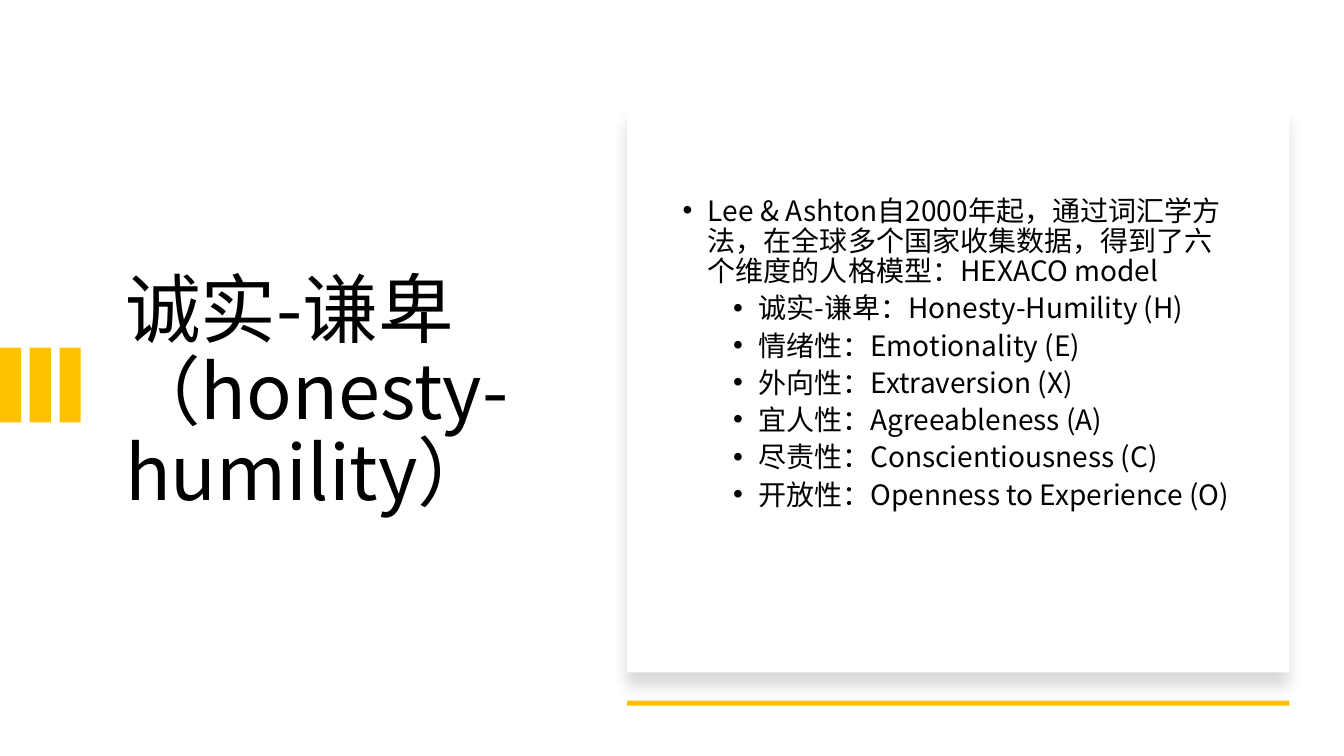
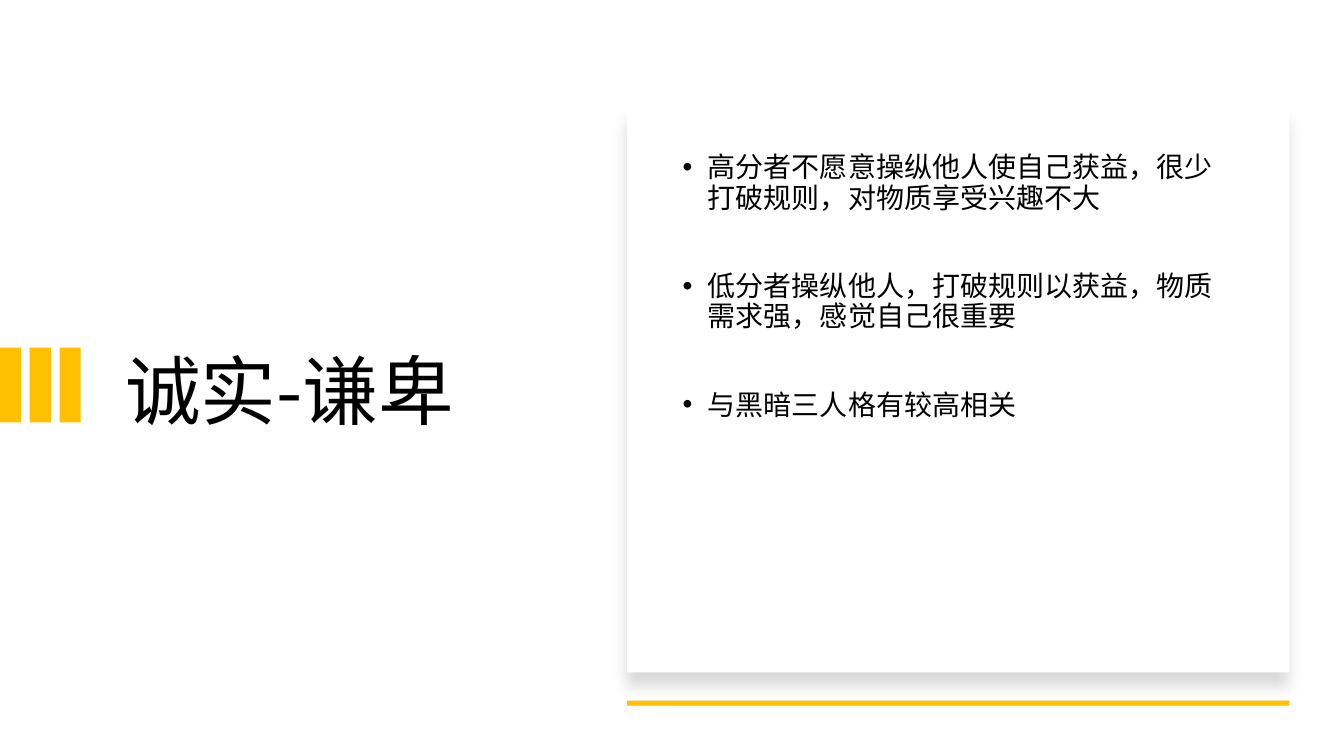
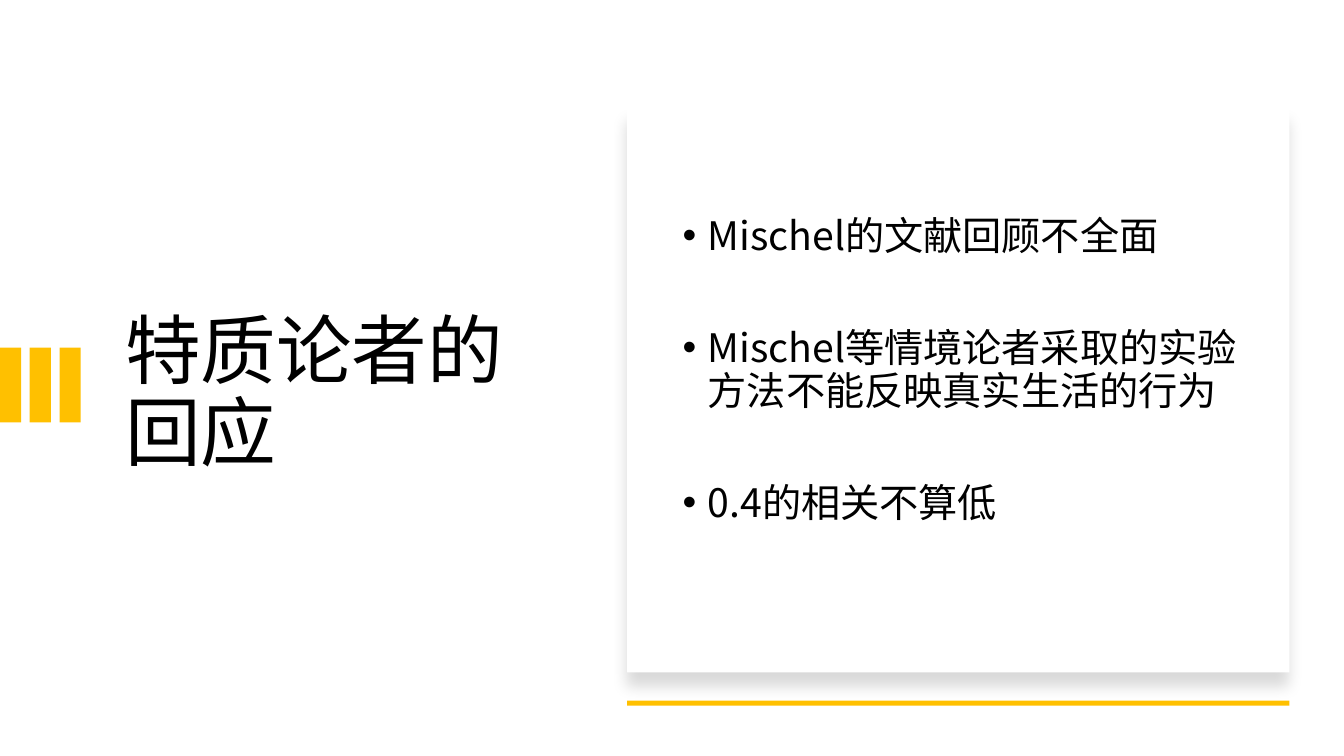
import dataclasses
import lxml.etree
import pptx
import pptx.dml.color
import pptx.enum.shapes
import pptx.enum.text
import pptx.oxml
import pptx.oxml.ns
import pptx.util

Inches = pptx.util.Inches
Pt = pptx.util.Pt
RGB = pptx.dml.color.RGBColor.from_string
qn = pptx.oxml.ns.qn


@dataclasses.dataclass(frozen=True)
class Theme:
    font: str = "Noto Sans CJK SC"
    ink: str = "000000"
    paper: str = "FFFFFF"
    accent: str = "FFC000"
    title_size: int = 54
    text_size: int = 20
    large_size: int = 28
    line_pitch: float = 1.08


theme = Theme()

SHADOW = (
    '<a:effectLst xmlns:a="http://schemas.openxmlformats.org/drawingml/2006/main">'
    f'<a:outerShdw blurRad="{Pt(11)}" dist="{Pt(10)}" dir="5400000" algn="t" rotWithShape="0">'
    f'<a:srgbClr val="{theme.ink}"><a:alpha val="15000"/></a:srgbClr>'
    "</a:outerShdw></a:effectLst>"
)

slides = [
    {
        "title": "诚实-谦卑（honesty-humility）",
        "size": theme.text_size,
        "top_inset": 0.45,
        "gap": 5,
        "items": [
            (0, "Lee & Ashton自2000年起，通过词汇学方法，在全球多个国家收集数据，得到了六个维度的人格模型：HEXACO model"),
            (1, "诚实-谦卑：Honesty-Humility (H)"),
            (1, "情绪性：Emotionality (E)"),
            (1, "外向性：Extraversion (X)"),
            (1, "宜人性：Agreeableness (A)"),
            (1, "尽责性：Conscientiousness (C)"),
            (1, "开放性：Openness to Experience (O)"),
        ],
    },
    {
        "title": "诚实-谦卑",
        "size": theme.text_size,
        "top_inset": 0.02,
        "gap": 20 + theme.text_size * theme.line_pitch,
        "items": [
            (0, "高分者不愿意操纵他人使自己获益，很少打破规则，对物质享受兴趣不大"),
            (0, "低分者操纵他人，打破规则以获益，物质需求强，感觉自己很重要"),
            (0, "与黑暗三人格有较高相关"),
        ],
    },
    {
        "title": "特质论者的回应",
        "size": theme.large_size,
        "top_inset": 0.64,
        "gap": 20 + theme.large_size * theme.line_pitch,
        "items": [
            (0, "Mischel的文献回顾不全面"),
            (0, "Mischel等情境论者采取的实验方法不能反映真实生活的行为"),
            (0, "0.4的相关不算低"),
        ],
    },
]


def add_rectangle(shapes, left, top, width, height, color):
    rectangle = shapes.add_shape(
        pptx.enum.shapes.MSO_SHAPE.RECTANGLE,
        Inches(left), Inches(top), Inches(width), Inches(height),
    )
    rectangle.shadow.inherit = False
    rectangle.fill.solid()
    rectangle.fill.fore_color.rgb = RGB(color)
    rectangle.line.fill.background()
    return rectangle


def write_text(para, text, size, space_before):
    para.alignment = pptx.enum.text.PP_ALIGN.LEFT
    para.line_spacing = Pt(size * theme.line_pitch)
    para.space_before = Pt(space_before)
    span = para.add_run()
    span.text = text
    span.font.size = Pt(size)
    span.font.name = theme.font
    span.font.color.rgb = RGB(theme.ink)
    latin = span.font._element.find(qn("a:latin"))
    east_asian = lxml.etree.Element(qn("a:ea"), typeface=theme.font)
    latin.addnext(east_asian)


deck = pptx.Presentation()
deck.slide_width = Inches(13.33)
deck.slide_height = Inches(7.5)

for content in slides:
    page = deck.slides.add_slide(deck.slide_layouts[1])
    title = page.shapes.title
    body = page.placeholders[1]

    for box, left, width in ((title, 1.14, 4.26), (body, 6.67, 5.71)):
        box.left, box.top = Inches(left), Inches(1.5)
        box.width, box.height = Inches(width), Inches(4.71)
        box.text_frame.word_wrap = True
        box.text_frame.auto_size = pptx.enum.text.MSO_AUTO_SIZE.NONE

    title.text_frame.vertical_anchor = pptx.enum.text.MSO_ANCHOR.MIDDLE
    title.text_frame.margin_top = Inches(0.15)
    write_text(title.text_frame.paragraphs[0], content["title"], theme.title_size, 0)

    bars = page.shapes.add_group_shape()
    for index in range(3):
        add_rectangle(bars.shapes, index * 0.295, 3.45, 0.21, 0.74, theme.accent)

    card = add_rectangle(page.shapes, 6.22, 1.07, 6.57, 5.6, theme.paper)
    effects = card.element.spPr.find(qn("a:effectLst"))
    effects.getparent().replace(effects, pptx.oxml.parse_xml(SHADOW))

    page.shapes.element.append(body.element)
    body.text_frame.vertical_anchor = pptx.enum.text.MSO_ANCHOR.TOP
    body.text_frame.margin_top = Inches(content["top_inset"])
    for index, (level, text) in enumerate(content["items"]):
        para = body.text_frame.paragraphs[0] if index == 0 else body.text_frame.add_paragraph()
        para.level = level
        properties = para._p.get_or_add_pPr()
        properties.set("marL", str(Inches(0.25 + level * 0.5)))
        properties.set("indent", str(Inches(-0.25)))
        lxml.etree.SubElement(properties, qn("a:buFont"), typeface="Arial")
        lxml.etree.SubElement(properties, qn("a:buChar"), char="•")
        write_text(para, text, content["size"], content["gap"] if index else 0)

    add_rectangle(page.shapes, 6.22, 6.95, 6.57, 0.05, theme.accent)

deck.save("out.pptx")
